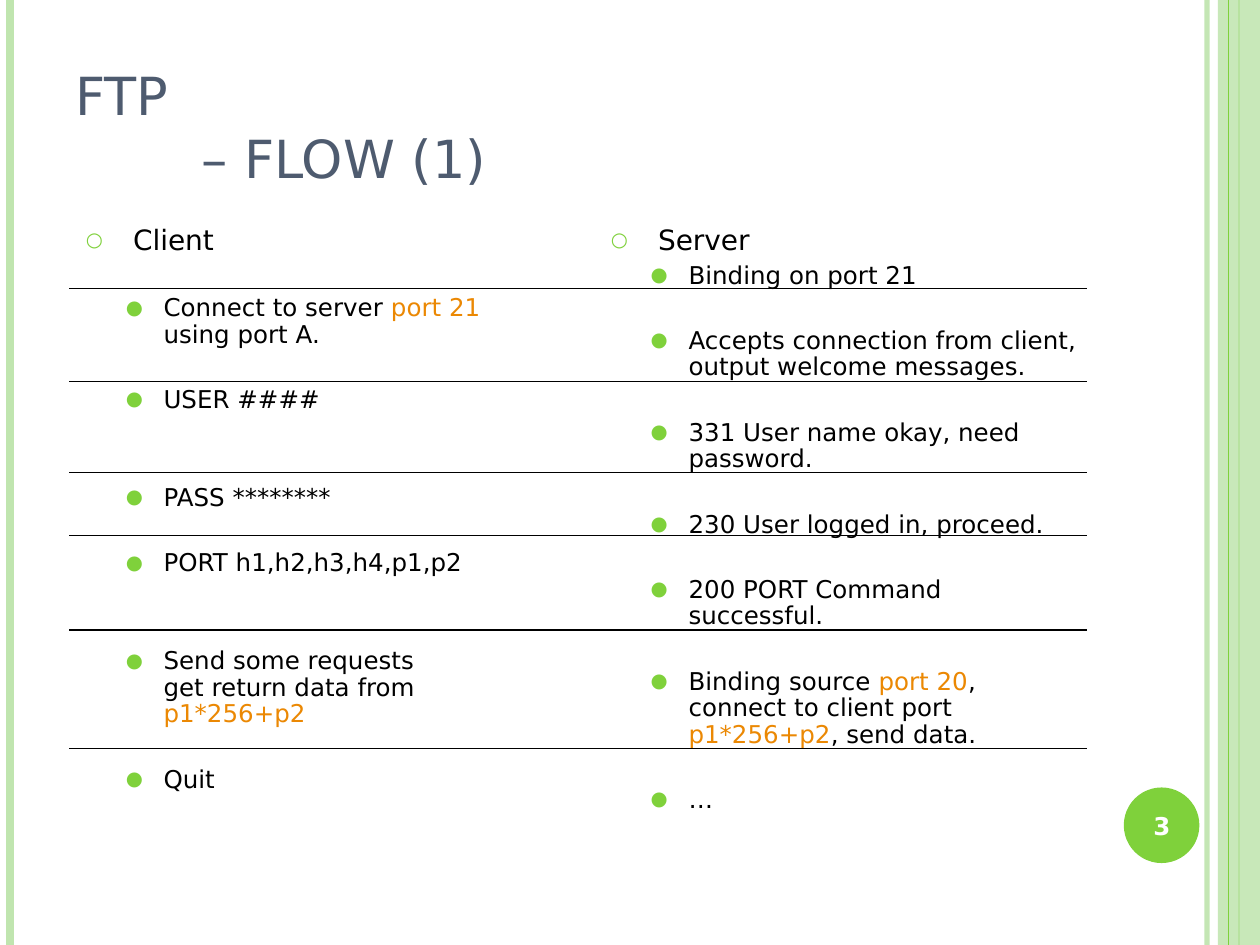
import lxml.etree
import pptx
import pptx.dml.color
import pptx.enum.shapes
import pptx.enum.text
import pptx.oxml.ns
import pptx.util

Pt = pptx.util.Pt
qn = pptx.oxml.ns.qn

FONT = "DejaVu Sans"
GREEN, PALE_GREEN = "7FD13B", "C0E5AF"
BLACK, WHITE, SLATE, ORANGE = "000000", "FFFFFF", "4E5B6F", "EB8803"
SLIDE_WIDTH, SLIDE_HEIGHT = 720, 540
CLOSE, ONE_LINE, TWO_LINES = 3.5, 22.2, 40.8

CLIENT_STEPS = [
    (ONE_LINE, ["Connect to server ", "port 21", " using port A."]),
    (ONE_LINE, ["USER ####"]),
    (TWO_LINES, ["PASS ********"]),
    (ONE_LINE, ["PORT h1,h2,h3,h4,p1,p2"]),
    (TWO_LINES, ["Send some requests\nget return data from ", "p1*256+p2"]),
    (ONE_LINE, ["Quit"]),
]
SERVER_STEPS = [
    (CLOSE, ["Binding on port 21"]),
    (ONE_LINE, ["Accepts connection from client, output welcome messages."]),
    (ONE_LINE, ["331 User name okay, need password."]),
    (ONE_LINE, ["230 User logged in, proceed."]),
    (ONE_LINE, ["200 PORT Command successful."]),
    (ONE_LINE, ["Binding source ", "port 20", ", connect to client port ",
                "p1*256+p2", ", send data."]),
    (ONE_LINE, ["…"]),
]
DIVIDERS = [164.9, 218.2, 270, 306, 360, 427.7]


def rgb(color):
    return pptx.dml.color.RGBColor.from_string(color)


def add_child(parent, tag, **attributes):
    return lxml.etree.SubElement(parent, qn(tag), **attributes)


def set_opacity(fill, percent):
    color = fill._xPr.find(qn("a:solidFill"))[0]
    add_child(color, "a:alpha", val=str(percent * 1000))


def add_line(slide, start, end, color, width, opacity=100):
    line = slide.shapes.add_connector(
        pptx.enum.shapes.MSO_CONNECTOR.STRAIGHT, *map(Pt, start + end))
    line.line.color.rgb = rgb(color)
    line.line.width = Pt(width)
    if opacity < 100:
        set_opacity(line.line.fill, opacity)
    add_child(line._element.spPr, "a:effectLst")


def add_vertical_line(slide, x, color, width, opacity=100):
    add_line(slide, (x, 0), (x, SLIDE_HEIGHT), color, width, opacity)


def add_filled_shape(slide, kind, box, color, opacity=100):
    shape = slide.shapes.add_shape(kind, *map(Pt, box))
    shape.shadow.inherit = False
    shape.fill.solid()
    shape.fill.fore_color.rgb = rgb(color)
    shape.line.fill.background()
    if opacity < 100:
        set_opacity(shape.fill, opacity)


def add_text_box(slide, box, anchor):
    text_frame = slide.shapes.add_textbox(*map(Pt, box)).text_frame
    text_frame.word_wrap = True
    text_frame.vertical_anchor = anchor
    return text_frame


def format_paragraph(paragraph, size, color, bold=False):
    for run in paragraph.runs:
        run.font.name = FONT
        run.font.size = Pt(size)
        run.font.bold = bold
        run.font.color.rgb = rgb(color)
    for line_break in paragraph._p.findall(qn("a:br")):
        add_child(line_break, "a:rPr", sz=str(size * 100))


def set_bullet(paragraph, character, percent, margin, hanging, space_before):
    paragraph.line_spacing = 0.9
    paragraph.space_before = Pt(space_before)
    properties = paragraph._p.get_or_add_pPr()
    properties.set("marL", str(Pt(margin)))
    properties.set("indent", str(-Pt(hanging)))
    bullet_color = add_child(properties, "a:buClr")
    add_child(bullet_color, "a:srgbClr", val=GREEN)
    add_child(properties, "a:buSzPct", val=str(percent * 1000))
    add_child(properties, "a:buFont", typeface=FONT)
    add_child(properties, "a:buChar", char=character)


def add_title(slide):
    text_frame = add_text_box(slide, (36, 21.6, 588, 90),
                              pptx.enum.text.MSO_ANCHOR.BOTTOM)
    paragraph = text_frame.paragraphs[0]
    paragraph.text = "FTP\n\t– FLOW (1)"
    format_paragraph(paragraph, 30, SLATE)
    tabs = add_child(paragraph._p.get_or_add_pPr(), "a:tabLst")
    add_child(tabs, "a:tab", pos=str(Pt(72)), algn="l")


def add_step(text_frame, space_before, segments):
    paragraph = text_frame.add_paragraph()
    paragraph.text = segments[0]
    for segment in segments[1:]:
        paragraph.add_run().text = segment
    format_paragraph(paragraph, 14, BLACK)
    highlights = segments[1::2]
    for run in paragraph.runs:
        if run.text in highlights:
            run.font.color.rgb = rgb(ORANGE)
    set_bullet(paragraph, "●", 80, 50.4, 21.6, space_before)


def add_column(slide, left, heading, steps):
    text_frame = add_text_box(slide, (left, 126, 288, 360),
                              pptx.enum.text.MSO_ANCHOR.TOP)
    paragraph = text_frame.paragraphs[0]
    paragraph.text = heading
    format_paragraph(paragraph, 16, BLACK)
    set_bullet(paragraph, "○", 70, 33, 27, 6)
    for space_before, segments in steps:
        add_step(text_frame, space_before, segments)


def add_frame(slide):
    shapes = pptx.enum.shapes.MSO_SHAPE
    add_vertical_line(slide, 689.8, PALE_GREEN, 3, 93)
    add_vertical_line(slide, 5.8, PALE_GREEN, 4.5)
    add_vertical_line(slide, 708, GREEN, 1.5)
    add_filled_shape(slide, shapes.RECTANGLE,
                     (696, 0, 24, SLIDE_HEIGHT), PALE_GREEN, 87)
    add_vertical_line(slide, 702, GREEN, 0.75)
    add_filled_shape(slide, shapes.OVAL, (642.2, 450, 43.2, 43.2), GREEN)


def add_page_number(slide):
    text_frame = add_text_box(slide, (640, 451.4, 48, 41),
                              pptx.enum.text.MSO_ANCHOR.MIDDLE)
    paragraph = text_frame.paragraphs[0]
    paragraph.text = "3"
    paragraph.alignment = pptx.enum.text.PP_ALIGN.CENTER
    format_paragraph(paragraph, 14, WHITE, bold=True)


def main():
    presentation = pptx.Presentation()
    presentation.slide_width = Pt(SLIDE_WIDTH)
    presentation.slide_height = Pt(SLIDE_HEIGHT)
    slide = presentation.slides.add_slide(presentation.slide_layouts[6])
    add_frame(slide)
    add_title(slide)
    add_column(slide, 36, "Client", CLIENT_STEPS)
    add_column(slide, 336, "Server", SERVER_STEPS)
    for y in DIVIDERS:
        add_line(slide, (39.6, y), (621.4, y), BLACK, 0.75)
    add_page_number(slide)
    presentation.save("out.pptx")


if __name__ == "__main__":
    main()
